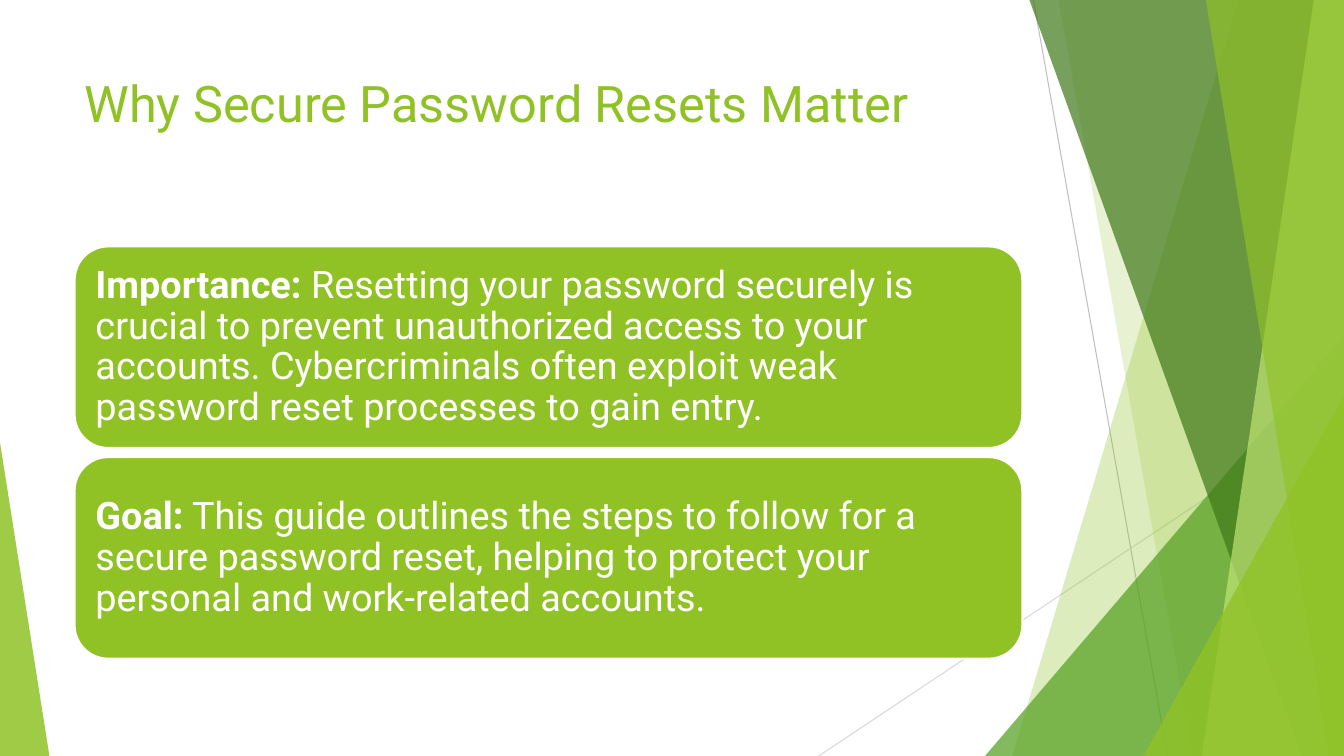
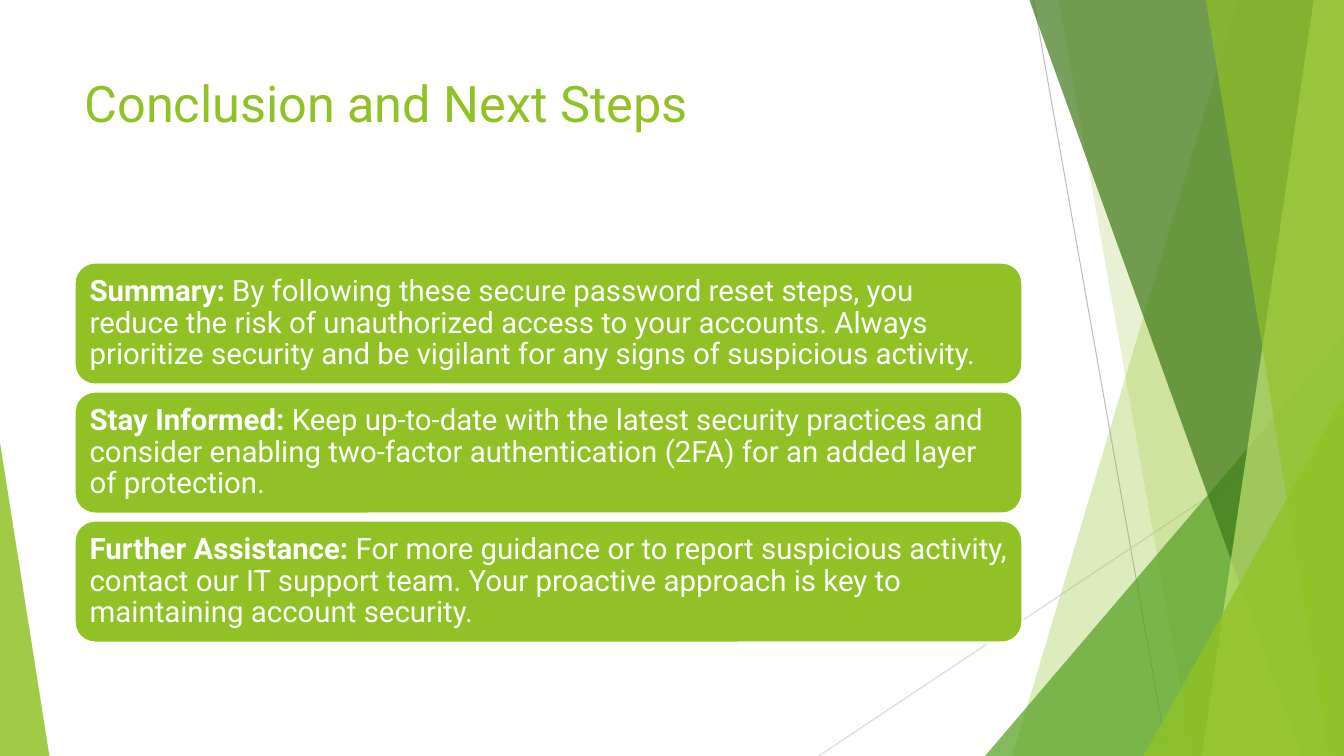
from lxml import etree
from pptx import Presentation
from pptx import util as u
from pptx.dml.color import RGBColor
from pptx.enum import shapes, text
from pptx.oxml.ns import qn

WIDTH, HEIGHT = 13.33, 7.5
GREEN, WHITE = "90C226", "FFFFFF"
FONT = "Roboto"
CARD_LEFT, CARD_WIDTH, STACK_MIDDLE = 0.74, 9.4, 4.49

GUIDE_LINES = [
    (10.25, 0, 11.58, HEIGHT, "BFBFBF"),
    (WIDTH, 4.03, 8.12, HEIGHT, "D9D9D9"),
]

# BANDS_PLACEHOLDER
ACCENTS = [
    ("band", (12.28, 10.04), GREEN, 30),
    ("band", (10.5, 11.83), GREEN, 20),
    ("triangle", (9.77, 3.33, 3.56, 1), "54A021", 72),
    ("band", (10.21, 12.91), "3F7819", 70),
    ("band", (13.03, 11.92), "C0E474", 70),
    ("band", (11.96, 13.18), GREEN, 65),
    ("triangle", (11.34, 3.93, 1.99, 1), GREEN, 80),
    ("triangle", (0, 4.39, 0.49, 0), GREEN, 85),
]

SLIDES = [
    {
        "title": "Why Secure Password Resets Matter",
        "height": 2.0, "gap": 0.09, "inset": 0.11, "size": 27,
        "cards": [
            ("Importance:", " Resetting your password securely is crucial to prevent "
             "unauthorized access to your accounts. Cybercriminals often exploit weak "
             "password reset processes to gain entry."),
            ("Goal:", " This guide outlines the steps to follow for a secure password "
             "reset, helping to protect your personal and work-related accounts."),
        ],
    },
    {
        "title": "Conclusion and Next Steps",
        "height": 1.21, "gap": 0.07, "inset": 0.09, "size": 21,
        "cards": [
            ("Summary:", " By following these secure password reset steps, you reduce "
             "the risk of unauthorized access to your accounts. Always prioritize "
             "security and be vigilant for any signs of suspicious activity."),
            ("Stay Informed:", " Keep up-to-date with the latest security practices and "
             "consider enabling two-factor authentication (2FA) for an added layer of "
             "protection."),
            ("Further Assistance:", " For more guidance or to report suspicious activity, "
             "contact our IT support team. Your proactive approach is key to "
             "maintaining account security."),
        ],
    },
]


def color(value):
    return RGBColor.from_string(value)


def fill_shape(shape, value):
    shape.shadow.inherit = False
    shape.fill.solid()
    shape.fill.fore_color.rgb = color(value)


presentation = Presentation()
presentation.slide_width = u.Inches(WIDTH)
presentation.slide_height = u.Inches(HEIGHT)

for content in SLIDES:
    slide = presentation.slides.add_slide(presentation.slide_layouts[6])

    for *ends, line_color in GUIDE_LINES:
        line = slide.shapes.add_connector(
            shapes.MSO_CONNECTOR.STRAIGHT, *[u.Inches(end) for end in ends])
        line.line.color.rgb = color(line_color)
        line.line.width = u.Pt(0.75)
        etree.SubElement(line.element.spPr, qn("a:effectLst"))

    for kind, geometry, accent_color, opacity in ACCENTS:
        if kind == "band":
            top_x, bottom_x = geometry
            builder = slide.shapes.build_freeform(u.Inches(top_x), 0)
            corners = [(WIDTH, 0), (WIDTH, HEIGHT), (bottom_x, HEIGHT)]
            builder.add_line_segments([(u.Inches(x), u.Inches(y)) for x, y in corners])
            accent = builder.convert_to_shape()
        else:
            left, top, width, apex = geometry
            accent = slide.shapes.add_shape(
                shapes.MSO_SHAPE.ISOSCELES_TRIANGLE, u.Inches(left), u.Inches(top),
                u.Inches(width), u.Inches(HEIGHT - top))
            accent.adjustments[0] = apex
        fill_shape(accent, accent_color)
        accent.line.fill.background()
        solid_color = accent.element.spPr.find(".//" + qn("a:srgbClr"))
        etree.SubElement(solid_color, qn("a:alpha"), val=str(opacity * 1000))

    title = slide.shapes.add_textbox(
        u.Inches(CARD_LEFT), u.Inches(0.67), u.Inches(CARD_WIDTH), u.Inches(1.44))
    title.text_frame.word_wrap = True
    paragraph = title.text_frame.paragraphs[0]
    paragraph.text = content["title"]
    paragraph.font.name = FONT
    paragraph.font.size = u.Pt(36)
    paragraph.font.color.rgb = color(GREEN)

    pitch = content["height"] + content["gap"]
    stack_top = STACK_MIDDLE - (len(content["cards"]) * pitch - content["gap"]) / 2
    for index, (label, body) in enumerate(content["cards"]):
        card = slide.shapes.add_shape(
            shapes.MSO_SHAPE.ROUNDED_RECTANGLE, u.Inches(CARD_LEFT),
            u.Inches(stack_top + index * pitch), u.Inches(CARD_WIDTH),
            u.Inches(content["height"]))
        fill_shape(card, GREEN)
        card.line.color.rgb = color(WHITE)
        card.line.width = u.Pt(1.5)
        frame = card.text_frame
        frame.word_wrap = True
        frame.vertical_anchor = text.MSO_ANCHOR.MIDDLE
        frame.margin_left = frame.margin_right = u.Inches(content["inset"])
        frame.margin_top = frame.margin_bottom = u.Inches(content["inset"])
        paragraph = frame.paragraphs[0]
        paragraph.alignment = text.PP_ALIGN.LEFT
        paragraph.line_spacing = 0.9
        paragraph.font.name = FONT
        paragraph.font.size = u.Pt(content["size"])
        paragraph.font.color.rgb = color(WHITE)
        label_run = paragraph.add_run()
        label_run.text = label
        label_run.font.bold = True
        paragraph.add_run().text = body

presentation.save("out.pptx")
